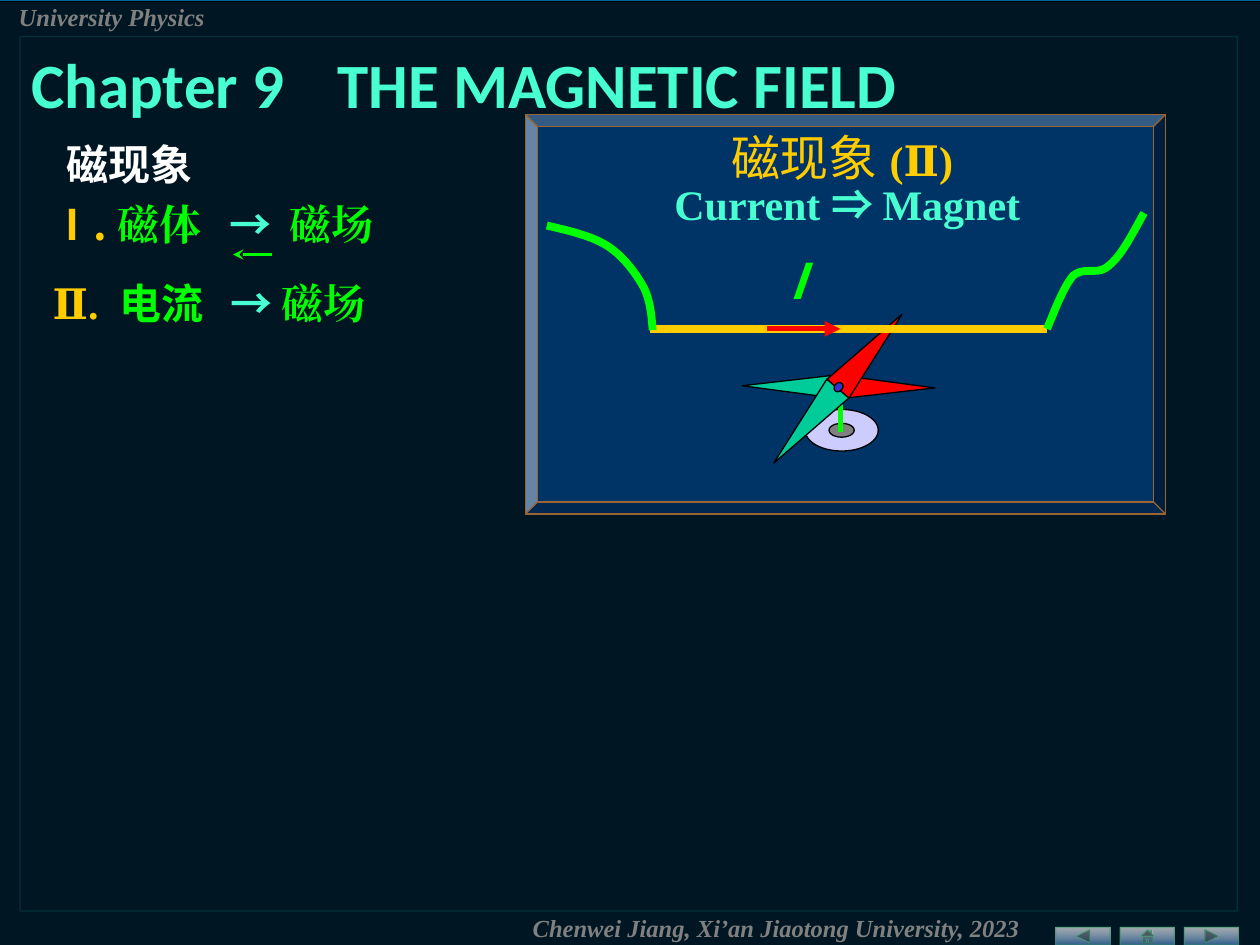
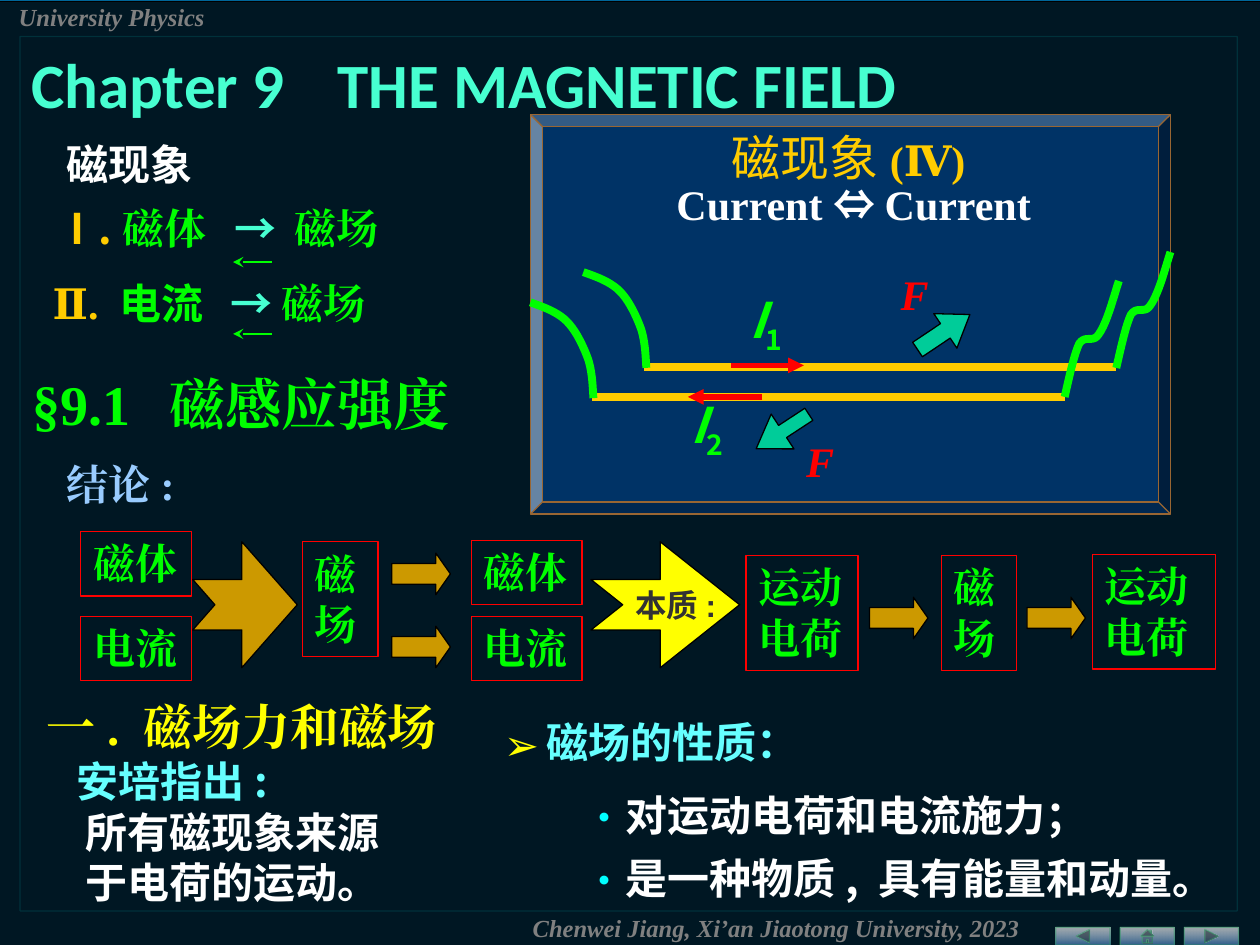
from dataclasses import dataclass

from lxml.etree import SubElement
from pptx import Presentation
from pptx.dml.color import RGBColor
from pptx.enum.shapes import MSO_CONNECTOR, MSO_SHAPE as S
from pptx.enum.text import MSO_ANCHOR as ANCHOR, PP_ALIGN as ALIGN
from pptx.oxml.ns import qn
from pptx.util import Inches, Pt


@dataclass(frozen=True)
class Theme:
    back: str = "006699"
    black: str = "000000"
    white: str = "FFFFFF"
    grey: str = "808080"
    dark: str = "333333"
    frame: str = "009999"
    button: str = "336699"
    button_line: str = "339966"
    panel: str = "003366"
    panel_line: str = "996633"
    mint: str = "47FFD1"
    gold: str = "FFCC00"
    green: str = "00FF00"
    red: str = "FF0000"
    teal: str = "00CC99"
    blue: str = "3333CC"
    lilac: str = "CCCCFF"
    ochre: str = "CC9900"
    yellow: str = "FFFF00"
    sky: str = "99CCFF"
    aqua: str = "66FFFF"
    cyan: str = "00FFFF"
    sans: str = "Arial"
    serif: str = "Times New Roman"
    cjk: str = "Noto Sans CJK SC"
    head: str = "Calibri"
    footer: int = 14
    small: int = 18
    body: int = 24
    topic: int = 28
    section: int = 32
    title: int = 36


T = Theme()
prs = Presentation()
prs.slide_width, prs.slide_height = Inches(10), Inches(7.5)
# Every position is counted in cells of a grid of 100 columns and 75 rows
COL, ROW = prs.slide_width / 100, prs.slide_height / 75
GRID = (COL, ROW, COL, ROW)


def add_box(sl, kind, box, paras=(), fill=None, line=None, width=0.75, rot=0, adj=(),
            alphas=(), align=ALIGN.LEFT, anchor=ANCHOR.TOP, wrap=True, last_ls=None,
            tabs=(), bullet=None, indents=()):
    """Add a shape, or a text box if kind is None.

    A run is (text, font, size, colour[, style]); style holds b, i or s (subscript).
    """
    at = [round(v * g) for v, g in zip(box, GRID)]
    if kind is None:
        sp = sl.shapes.add_textbox(*at)
    else:
        sp = sl.shapes.add_shape(kind, *at)
        sp.shadow.inherit = False
        sp.rotation = rot
        for i, value in enumerate(adj):
            sp.adjustments[i] = value
        if isinstance(fill, tuple):
            sp.fill.gradient()
            sp.fill.gradient_angle = 270
            for stop, colour in zip(sp.fill.gradient_stops, fill):
                stop.color.rgb = RGBColor.from_string(colour)
        elif fill:
            sp.fill.solid()
            sp.fill.fore_color.rgb = RGBColor.from_string(fill)
        else:
            sp.fill.background()
        sp.line.color.rgb = RGBColor.from_string(line)
        sp.line.width = Pt(width)
        for clr, alpha in zip(list(sp._element.spPr.iter(qn("a:srgbClr"))), alphas):
            SubElement(clr, qn("a:alpha")).set("val", str(alpha * 1000))
    tf = sp.text_frame
    tf.word_wrap = wrap
    tf.vertical_anchor = anchor
    for i, runs in enumerate(paras):
        p = tf.add_paragraph() if i else tf.paragraphs[0]
        p.alignment = align
        if last_ls and i == len(paras) - 1:
            p.line_spacing = last_ls
        pPr = p._p.get_or_add_pPr()
        if indents:
            pPr.set("marL", str(round(indents[i] * COL)))
        if bullet:
            char, colour = bullet
            pPr.set("indent", str(-round(indents[i] * COL)))
            SubElement(SubElement(pPr, qn("a:buClr")), qn("a:srgbClr")).set("val", colour)
            SubElement(pPr, qn("a:buFont")).set("typeface", T.cjk)
            SubElement(pPr, qn("a:buChar")).set("char", char)
        if tabs:
            tab_list = SubElement(pPr, qn("a:tabLst"))
            for pos in tabs:
                tab = SubElement(tab_list, qn("a:tab"))
                tab.set("pos", str(round(pos * COL)))
                tab.set("algn", "l")
        for text, font, size, colour, *style in runs:
            style = style[0] if style else "b"
            r = p.add_run()
            r.text = text
            r.font.name, r.font.size = font, Pt(size)
            r.font.bold, r.font.italic = "b" in style, "i" in style
            r.font.color.rgb = RGBColor.from_string(colour)
            rPr = r._r.get_or_add_rPr()
            SubElement(rPr, qn("a:ea")).set("typeface", font)
            if "s" in style:
                rPr.set("baseline", "-25000")
    return sp


def add_line(sl, x1, y1, x2, y2, colour, width, tail=None):
    cn = sl.shapes.add_connector(MSO_CONNECTOR.STRAIGHT, round(x1 * COL), round(y1 * ROW),
                                 round(x2 * COL), round(y2 * ROW))
    cn.line.color.rgb = RGBColor.from_string(colour)
    cn.line.width = Pt(width)
    if tail:
        SubElement(cn.line._ln, qn("a:tailEnd")).set("type", tail)
    SubElement(cn._element.spPr, qn("a:effectLst"))


# Shared base: veil, buttons, frame, footer, header and the panel with its caption
PANELS = [
    (41.7, (42.6, 9.6, 49.3, 9.1), "(Ⅱ) ", "⇒ ", "Magnet", T.mint),
    (42.1, (42.5, 9.6, 50.5, 9.1), "(Ⅳ) ", "⇔ ", "Current", T.white),
]
slides = []
for left, caption, number, sign, effect, colour in PANELS:
    sl = prs.slides.add_slide(prs.slide_layouts[6])
    slides.append(sl)
    sl.background.fill.solid()
    sl.background.fill.fore_color.rgb = RGBColor.from_string(T.back)
    add_box(sl, S.RECTANGLE, (-0.7, 0.1, 100.9, 75.9), fill=T.black, line=T.black, alphas=(77,))
    for i, kind in enumerate((S.ACTION_BUTTON_BACK_OR_PREVIOUS, S.ACTION_BUTTON_HOME,
                              S.ACTION_BUTTON_FORWARD_OR_NEXT)):
        add_box(sl, kind, (83.8 + 5.1 * i, 73.6, 4.3, 1.4), fill=(T.white, T.button),
                line=T.button_line, width=0, alphas=(62, 89, 52))
    add_box(sl, S.RECTANGLE, (1.6, 2.9, 96.6, 69.4), line=T.frame, alphas=(20,))
    for text, box in (("Chenwei Jiang, Xi’an Jiaotong University, 2023", (41.3, 72, 54.3, 3.3)),
                      ("University Physics", (0.5, -0.3, 26, 3.3))):
        add_box(sl, None, box, [[(text, T.serif, T.footer, T.grey, "bi")]])
    add_box(sl, S.BEVEL, (left, 9.1, 50.8, 31.7), fill=T.panel, line=T.panel_line, adj=(0.03,))
    add_box(sl, None, caption, [
        [("磁现象", T.cjk, T.topic, T.gold, ""), (number, T.serif, T.body, T.gold)],
        [("Current ", T.serif, T.body, colour), (sign, T.cjk, T.body, colour),
         (effect, T.serif, T.body, colour)],
    ], align=ALIGN.CENTER, last_ls=0.85)

# Compass on the first slide
sl1, sl2 = slides
add_box(sl1, S.OVAL, (63.9, 32.5, 5.8, 3.3), fill=T.lilac, line=T.black)
add_box(sl1, S.OVAL, (65.8, 33.6, 2, 1.1), fill=T.grey, line=T.black)
add_line(sl1, 66.7, 30.1, 66.7, 34.3, T.green, 3)
NEEDLES = [
    (90.5, (69.4, 26.9, 1.9, 7.7), (61.8, 26.8, 1.9, 7.7)),
    (40.7, (67.9, 24, 2.3, 7.8), (62.8, 29.9, 2.3, 7.8)),
]
for angle, north, south in NEEDLES:
    add_box(sl1, S.ISOSCELES_TRIANGLE, north, fill=T.red, line=T.black, rot=angle)
    add_box(sl1, S.ISOSCELES_TRIANGLE, south, fill=T.teal, line=T.black, rot=angle + 180)
    add_box(sl1, S.OVAL, (66.15, 30.4, 0.8, 0.65), fill=T.blue, line=T.black,
            rot=(angle + 270) % 360)

# Wires: a straight part and two curled leads, Bezier points as shares of each lead's box
LEFT_LEAD = [(1, 1), (0.99, 0.87), (0.98, 0.73), (0.92, 0.6), (0.85, 0.47), (0.73, 0.3),
             (0.58, 0.2), (0.43, 0.1), (0.21, 0.05), (0, 0)]
RIGHT_LEAD = [(0, 1), (0.09, 0.82), (0.17, 0.64), (0.27, 0.54), (0.39, 0.46), (0.52, 0.54),
              (0.63, 0.46), (0.77, 0.37), (0.88, 0.18), (1, 0)]
STEPS = 10
WIRES = [
    (sl1, (51.6, 83.1, 26.1), (43.4, 17.9, 8.4, 8.3), (83.1, 16.9, 7.7, 9.2)),
    (sl2, (51.1, 88.6, 29.15), (46.3, 21.6, 5, 7.6), (88.6, 20, 4.3, 9.2)),
    (sl2, (47, 84.5, 31.5), (42.1, 24, 5, 7.6), (84.5, 22.3, 4.3, 9.2)),
]
for sl, (x1, x2, y), left_box, right_box in WIRES:
    add_line(sl, x1, y, x2, y, T.gold, 4.5)
    for lead, (x, top, w, h) in ((LEFT_LEAD, left_box), (RIGHT_LEAD, right_box)):
        pts = [((x + w * a) * COL, (top + h * b) * ROW) for a, b in lead]
        curve = []
        for i in range(0, len(pts) - 1, 3):
            for n in range(1, STEPS + 1):
                t = n / STEPS
                weights = ((1 - t) ** 3, 3 * t * (1 - t) ** 2, 3 * t * t * (1 - t), t ** 3)
                curve.append(tuple(round(sum(k * pt[axis] for k, pt in zip(weights, pts[i:i + 4])))
                                   for axis in (0, 1)))
        builder = sl.shapes.build_freeform(round(pts[0][0]), round(pts[0][1]))
        builder.add_line_segments(curve, close=False)
        sp = builder.convert_to_shape()
        sp.shadow.inherit = False
        sp.fill.background()
        sp.line.color.rgb = RGBColor.from_string(T.green)
        sp.line.width = Pt(4.5)

# Currents: a letter and a red arrow along the wire
CURRENTS = [
    (sl1, (61.7, 19.4, 4, 5.7), "", (60.9, 26.1, 66.7, 26.1)),
    (sl2, (58.5, 22.5, 5.3, 5.7), "1", (58, 29, 63.8, 29)),
    (sl2, (53.8, 30.8, 5.3, 5.7), "2", (60.5, 31.5, 54.6, 31.5)),
]
for sl, box, index, arrow in CURRENTS:
    runs = [("I", T.cjk, T.topic, T.green, "bi")]
    if index:
        runs.append((index, T.cjk, T.topic, T.green, "bs"))
    add_box(sl, None, box, [runs], wrap=False)
    add_line(sl, *arrow, T.red, 3, "triangle")

# Forces between the two currents
for box, rot, adj, label in (((72.4, 24.7, 5, 3.3), 326.2, (0.42, 0.71), (70.5, 20.8, 3.3, 5)),
                             ((59.6, 32.6, 5, 3.3), 146.8, (0.35, 0.76), (63, 34.1, 3.3, 5))):
    add_box(sl2, S.RIGHT_ARROW, box, fill=T.teal, line=T.black, rot=rot, adj=adj)
    add_box(sl2, None, label, [[("F", T.serif, T.body, T.red, "bi")]], wrap=False)

# Title and list of phenomena
for sl, x, y, back_arrows in ((sl1, 3.1, 15.9, (20.2,)), (sl2, 3.5, 16.2, (20.8, 26.5))):
    add_box(sl, None, (3.2, 21.5, 42.1, 5), [[
        ("Ⅱ. ", T.serif, T.body, T.gold), ("电流\t", T.sans, T.body, T.green),
        ("→ ", T.cjk, T.body, T.mint), ("磁场", T.serif, T.body, T.green)]], tabs=(14.1,))
    add_box(sl, None, (x, y, 41.7, 4.4), [[
        ("Ⅰ.", T.cjk, T.body, T.gold), ("磁体\t", T.serif, T.body, T.green),
        ("→\t", T.cjk, T.body, T.mint), ("磁场", T.serif, T.body, T.green)]],
        tabs=(14.1, 18.9), last_ls=0.85)
    add_box(sl, None, (4.3, 10.5, 19.7, 5), [[("磁现象", T.cjk, T.body, T.white)]])
    for level in back_arrows:
        add_line(sl, 21.6, level, 18.5, level, T.green, 1.5, "stealth")
    add_box(sl, None, (1.5, 3.1, 93.7, 7),
            [[("Chapter 9\tTHE MAGNETIC FIELD", T.head, T.title, T.mint)]],
            anchor=ANCHOR.MIDDLE, tabs=(24.3,))

# Flow from sources to field to moving charges
FLOW_BOXES = [
    (("磁体",), (6.4, 42.2, 8.8, 5.1)),
    (("电流",), (6.4, 48.9, 8.8, 5.1)),
    (("磁", "场"), (24, 43, 6, 9.1)),
    (("磁体",), (37.4, 42.9, 8.8, 5.1)),
    (("电流",), (37.4, 48.9, 8.8, 5.1)),
    (("运动电荷",), (59.2, 44.1, 8.9, 9.1)),
    (("磁", "场"), (74.7, 44.1, 6, 9.1)),
    (("运动电荷",), (86.7, 44, 9.8, 9.1)),
]
for texts, box in FLOW_BOXES:
    add_box(sl2, S.RECTANGLE, box, [[(t, T.serif, T.body, T.green)] for t in texts], line=T.red)
for x, y in ((31.1, 43.9), (31.1, 49.7), (69, 47.4), (81.5, 47.4)):
    add_box(sl2, S.RIGHT_ARROW, (x, y, 4.65, 3.3), fill=T.ochre, line=T.black, adj=(0.5, 0.35))
add_box(sl2, S.NOTCHED_RIGHT_ARROW, (15.3, 43, 8.3, 10), fill=T.ochre, line=T.black,
        adj=(0.4, 0.53))
add_box(sl2, S.NOTCHED_RIGHT_ARROW, (46.9, 43, 11.8, 10), [[("本质:", T.sans, T.small, T.dark)]],
        fill=T.yellow, line=T.black, adj=(0.4, 0.63), anchor=ANCHOR.MIDDLE, wrap=False)

# Headings and statements of the second slide
add_box(sl2, None, (4.3, 35.9, 13.3, 5), [[("结论:", T.serif, T.body, T.sky)]])
add_box(sl2, None, (1.6, 28.8, 45.3, 6.3),
        [[("§9.1\t磁感应强度", T.serif, T.section, T.green)]], tabs=(10.9,))
add_box(sl2, None, (2.7, 54.8, 42.5, 5.7), [[("一. 磁场力和磁场", T.serif, T.topic, T.yellow)]])
add_box(sl2, None, (5.1, 59.5, 34.6, 13), [
    [("安培指出:", T.cjk, T.body, T.aqua)],
    [("所有磁现象来源", T.cjk, T.body, T.white)],
    [("于电荷的运动。", T.cjk, T.body, T.white)],
], indents=(0, 0.7, 0.7))
for text, box, colour, bullet, indent in (
        ("磁场的性质：", (39, 56.4, 32.3, 5), T.aqua, ("➢", T.yellow), 3.4),
        ("对运动电荷和电流施力；", (45.3, 62.2, 45.7, 5), T.white, ("•", T.cyan), 3),
        ("是一种物质, 具有能量和动量。", (45.3, 67.2, 53.1, 5), T.white, ("•", T.cyan), 3)):
    add_box(sl2, None, box, [[(text, T.cjk, T.body, colour)]], bullet=bullet, indents=(indent,))

prs.save("out.pptx")
